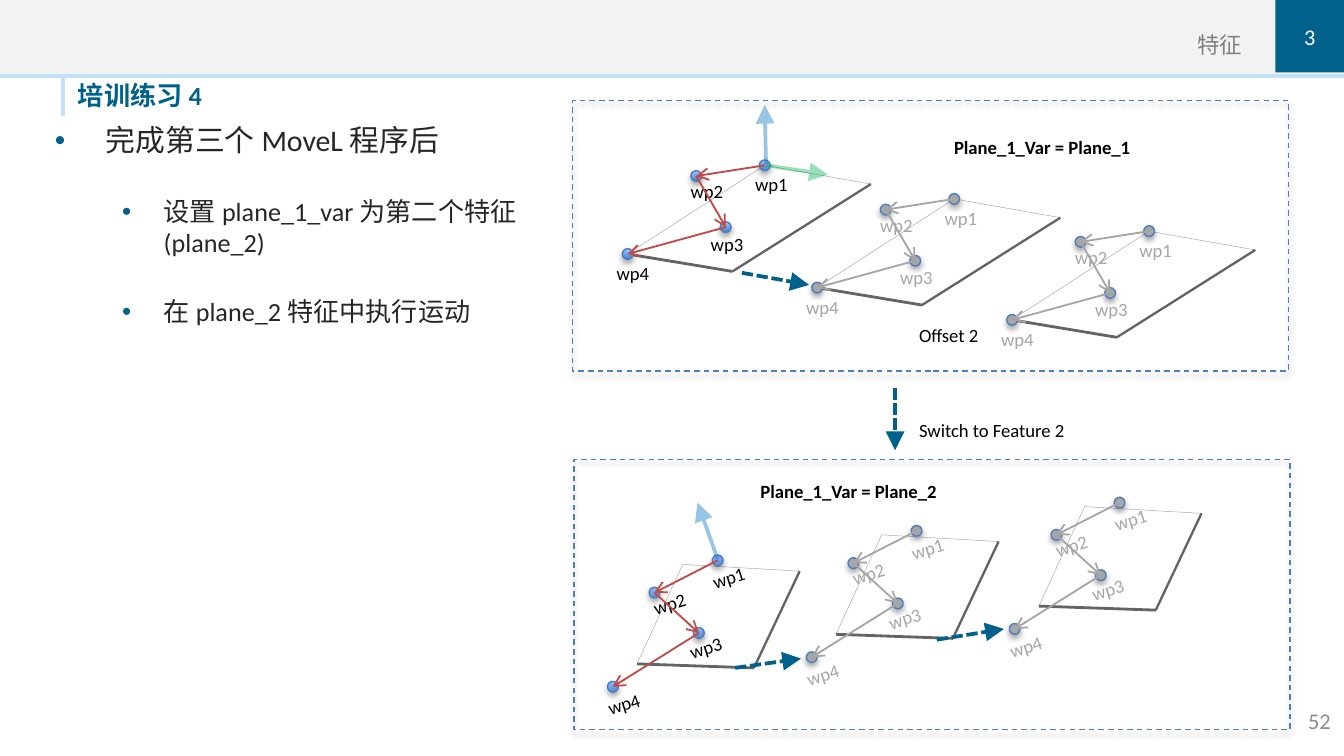
from dataclasses import dataclass
from pptx import Presentation
from pptx.dml.color import RGBColor as RGB
from pptx.enum.dml import MSO_LINE as Dash
from pptx.enum.shapes import MSO_CONNECTOR as Link, MSO_SHAPE as Kind
from pptx.enum.text import MSO_ANCHOR as Anchor, MSO_AUTO_SIZE as Fit, PP_ALIGN as Align
from pptx.oxml import parse_xml
from pptx.oxml.ns import nsdecls
from pptx.util import Inches, Pt


@dataclass(frozen=True)
class Theme:
    font: str = "Calibri"
    navy: str = "00628B"
    sky: str = "C2E1F6"
    pale: str = "F2F2F2"
    white: str = "FFFFFF"
    black: str = "000000"
    ink: str = "262626"
    mid: str = "808080"
    page: str = "8C8C8C"
    dim: str = "A6A6A6"
    edge: str = "646464"
    rim: str = "4B7EBC"
    red: str = "BF4C48"
    green: str = "00B050"
    blue: str = "0070C0"
    glow: tuple = ("3F80CE", "A4C4FF")
    lead: int = 16
    body: int = 14
    small: int = 12
    label: int = 10


T = Theme()
NAMES = ("wp1", "wp2", "wp3", "wp4")
FLAT = dict(
    turn=0,
    dots=((0, 0), (-0.51, 0.08), (-0.29, 0.46), (-1.02, 0.66)),
    tags=((-0.17, 0.01), (-0.14, -0.02), (-0.21, -0.01), (-0.18, 0.01)),
    quad=((0, 0), (0.79, 0.14), (-0.24, 0.79), (-1.02, 0.66)),
)
TILT = dict(
    turn=342.3,
    dots=((0, 0), (-0.47, 0.24), (-0.14, 0.54), (-0.78, 0.94)),
    tags=((-0.14, -0.02), (-0.11, -0.07), (-0.17, -0.04), (-0.14, -0.02)),
    quad=((-0.26, 0.03), (0.61, 0.08), (0.27, 0.8), (-0.6, 0.77)),
)


def xml(tag, inner="", **attrs):
    bits = " ".join(f'{key}="{val}"' for key, val in attrs.items())
    return parse_xml(f'<a:{tag} {nsdecls("a")} {bits}>{inner}</a:{tag}>')


def add_run(par, words, size, color, bold=False):
    run = par.add_run()
    run.text = words
    run.font.name, run.font.size, run.font.bold = T.font, Pt(size), bold
    run.font.color.rgb = RGB.from_string(color)


def set_frame(shape, pad=(0.1, 0.05, 0.1, 0.05), anchor=Anchor.TOP):
    frame = shape.text_frame
    frame.word_wrap, frame.auto_size = True, Fit.NONE
    frame.vertical_anchor = anchor
    (frame.margin_left, frame.margin_top,
     frame.margin_right, frame.margin_bottom) = map(Inches, pad)
    return frame


def add_text(shapes, box, words, size, color, bold=False, align=Align.LEFT, **style):
    shape = shapes.add_textbox(*map(Inches, box))
    par = set_frame(shape, **style).paragraphs[0]
    par.alignment = align
    add_run(par, words, size, color, bold)
    return shape


def add_box(shapes, kind, box, fill=None, line=None):
    shape = shapes.add_shape(kind, *map(Inches, box))
    shape.shadow.inherit = False
    if fill:
        shape.fill.solid()
        shape.fill.fore_color.rgb = RGB.from_string(fill)
    else:
        shape.fill.background()
    if line:
        shape.line.color.rgb = RGB.from_string(line)
        shape.line.width = Pt(0.75)
    else:
        shape.line.fill.background()
    return shape


def add_shade(shape):
    shadow = shape._element.spPr.find(xml("effectLst").tag)
    shadow.append(xml("outerShdw", '<a:srgbClr val="000000"><a:alpha val="35000"/></a:srgbClr>',
                      blurRad=Pt(3.1), dist=Pt(1.8), dir=5400000, rotWithShape=0))


def add_line(shapes, start, end, color, width, tip=None, dash=None, alpha=None, size="med"):
    line = shapes.add_connector(Link.STRAIGHT, *map(Inches, (*start, *end)))
    line.line.color.rgb = RGB.from_string(color)
    line.line.width = Pt(width)
    if dash:
        line.line.dash_style = dash
    pen = line.line._get_or_add_ln()
    if alpha:
        pen.find(".//" + xml("srgbClr").tag).append(xml("alpha", val=alpha * 1000))
    if tip:
        pen.append(xml("tailEnd", type=tip, w=size, len=size))
    line._element.spPr.append(xml("effectLst"))


def add_move(shapes, start, end):
    add_line(shapes, start, end, T.navy, 2, "triangle", Dash.SQUARE_DOT, size="lg")


def shift(spot, by):
    return spot[0] + by[0], spot[1] + by[1]


def add_head(slide, box):
    x, y, w, h = box
    shapes = slide.shapes
    add_box(shapes, Kind.RECTANGLE, box, T.sky)
    add_box(shapes, Kind.RECTANGLE, (x, y, w, h - 0.03), T.pale)
    add_line(shapes, (x + 0.47, y + h), (x + 0.47, y + h + 0.28), T.sky, 2.5)
    add_text(shapes, (x + 5, y, 4.24, 0.43), "特征", T.small, T.mid,
             align=Align.RIGHT, pad=(0, 0, 0, 0), anchor=Anchor.BOTTOM)
    badge = add_box(shapes, Kind.RECTANGLE, (x + w - 0.51, y, 0.51, 0.54), T.navy)
    par = set_frame(badge, (0, 0, 0, 0), Anchor.MIDDLE).paragraphs[0]
    par.alignment = Align.CENTER
    add_run(par, "3", T.small, T.white)


def add_title(slide, box):
    title = slide.shapes.title
    title.left, title.top, title.width, title.height = map(Inches, box)
    par = set_frame(title, (0, 0, 0, 0.04)).paragraphs[0]
    par.alignment = Align.LEFT
    add_run(par, "培训练习 4", T.body, T.navy, True)


def add_notes(slide, box):
    frame = set_frame(slide.shapes.add_textbox(*map(Inches, box)))
    rows = ((0, "完成第三个 MoveL 程序后"),
            (1, "设置 plane_1_var 为第二个特征 (plane_2)"),
            (1, "在 plane_2 特征中执行运动"))
    for pos, (level, words) in enumerate(rows):
        par = frame.add_paragraph() if pos else frame.paragraphs[0]
        par.level = level
        left, hang = ((0.38, 0.38), (0.81, 0.31))[level]
        props = par._p.get_or_add_pPr()
        props.set("marL", str(Inches(left)))
        props.set("indent", str(-Inches(hang)))
        props.append(xml("buClr", f'<a:srgbClr val="{T.navy}"/>'))
        props.append(xml("buFont", typeface="Arial"))
        props.append(xml("buChar", char="•"))
        par.space_before = Pt(20 if pos else 0)
        add_run(par, words, T.body if level else T.lead, T.ink)


def add_plane(slide, spot, pose, live):
    shapes = slide.shapes.add_group_shape().shapes
    quad = [shift(spot, by) for by in pose["quad"]]
    pen = shapes.build_freeform(*map(Inches, quad[0]))
    pen.add_line_segments([tuple(map(Inches, pt)) for pt in quad[1:]])
    plane = pen.convert_to_shape()
    plane.shadow.inherit = False
    plane.fill.solid()
    plane.fill.fore_color.rgb = RGB.from_string(T.white)
    plane.line.color.rgb = RGB.from_string(T.dim)
    plane.line.width = Pt(0.25)
    for start, end, width in ((1, 2, 1.25), (2, 3, 1.5)):
        add_line(shapes, quad[start], quad[end], T.edge, width)
    dots = [shift(spot, by) for by in pose["dots"]]
    for (x, y), by, name in zip(dots, pose["tags"], NAMES):
        dot = add_box(shapes, Kind.OVAL, (x - 0.04, y - 0.04, 0.08, 0.08), T.dim, T.rim)
        dot.rotation = pose["turn"]
        if live:
            dot.fill.gradient()
            dot.fill.gradient_angle = 90
            for stop, color in zip(dot.fill.gradient_stops, T.glow):
                stop.color.rgb = RGB.from_string(color)
        add_shade(dot)
        tag = add_text(shapes, (*shift((x, y), by), 0.54, 0.27), name, T.label,
                       T.black if live else T.dim)
        tag.rotation = pose["turn"]
    for start, end in zip(dots, dots[1:]):
        add_line(shapes, start, end, T.red if live else T.dim, 1, "arrow")


def add_panel(slide, box, pose, spots, tags, moves, axes):
    shapes, base = slide.shapes, box[:2]
    for pos, spot in enumerate(spots):
        add_plane(slide, shift(base, spot), pose, pos == 0)
    frame = add_box(shapes, Kind.RECTANGLE, box, line=T.rim)
    frame.line.dash_style = Dash.DASH
    add_shade(frame)
    for spot, width, words, bold in tags:
        add_text(shapes, (*shift(base, spot), width, 0.27), words, T.label, T.black, bold)
    for start, end in moves:
        add_move(shapes, shift(base, start), shift(base, end))
    for start, end, color in axes:
        add_line(shapes, shift(base, start), shift(base, end), color, 2, "triangle",
                 alpha=40, size="lg")


def add_switch(slide, box):
    x, y, w, h = box
    add_move(slide.shapes, (x, y), (x, y + h))
    add_text(slide.shapes, (x + 0.08, y + 0.18, w - 0.08, 0.27), "Switch to Feature 2", T.label, T.black)


def main():
    deck = Presentation()
    deck.slide_width, deck.slide_height = Inches(10), Inches(10 * 9 / 16)
    slide = deck.slides.add_slide(deck.slide_layouts[5])
    add_head(slide, (0, 0, 10, 0.58))
    add_title(slide, (0.58, 0.59, 4.41, 0.28))
    add_notes(slide, (0.31, 0.86, 3.95, 2))
    add_panel(slide, (4.26, 0.75, 5.33, 2.01), FLAT,
              ((1.43, 0.48), (2.84, 0.73), (4.29, 0.97)),
              (((2.74, 0.21), 1.65, "Plane_1_Var = Plane_1", True),
               ((2.48, 1.61), 0.67, "Offset 2", False)),
              (((1.26, 1.28), (1.76, 1.37)),),
              (((1.44, 0.48), (1.9, 0.55), T.green), ((1.44, 0.47), (1.43, 0.03), T.blue)))
    add_panel(slide, (4.27, 3.42, 5.33, 2.01), TILT,
              ((1.07, 0.75), (2.55, 0.53), (4.06, 0.32)),
              (((1.29, 0.1), 1.66, "Plane_1_Var = Plane_2", True),),
              (((1.2, 1.55), (1.69, 1.48)), ((2.7, 1.34), (3.2, 1.26))),
              (((1.07, 0.74), (0.92, 0.32), T.blue),))
    add_switch(slide, (6.66, 2.89, 1.39, 0.46))
    add_text(slide.shapes, (9, 5.21, 1, 0.3), "52", T.small, T.page,
             align=Align.RIGHT, anchor=Anchor.MIDDLE)
    deck.save("out.pptx")


if __name__ == "__main__":
    main()
